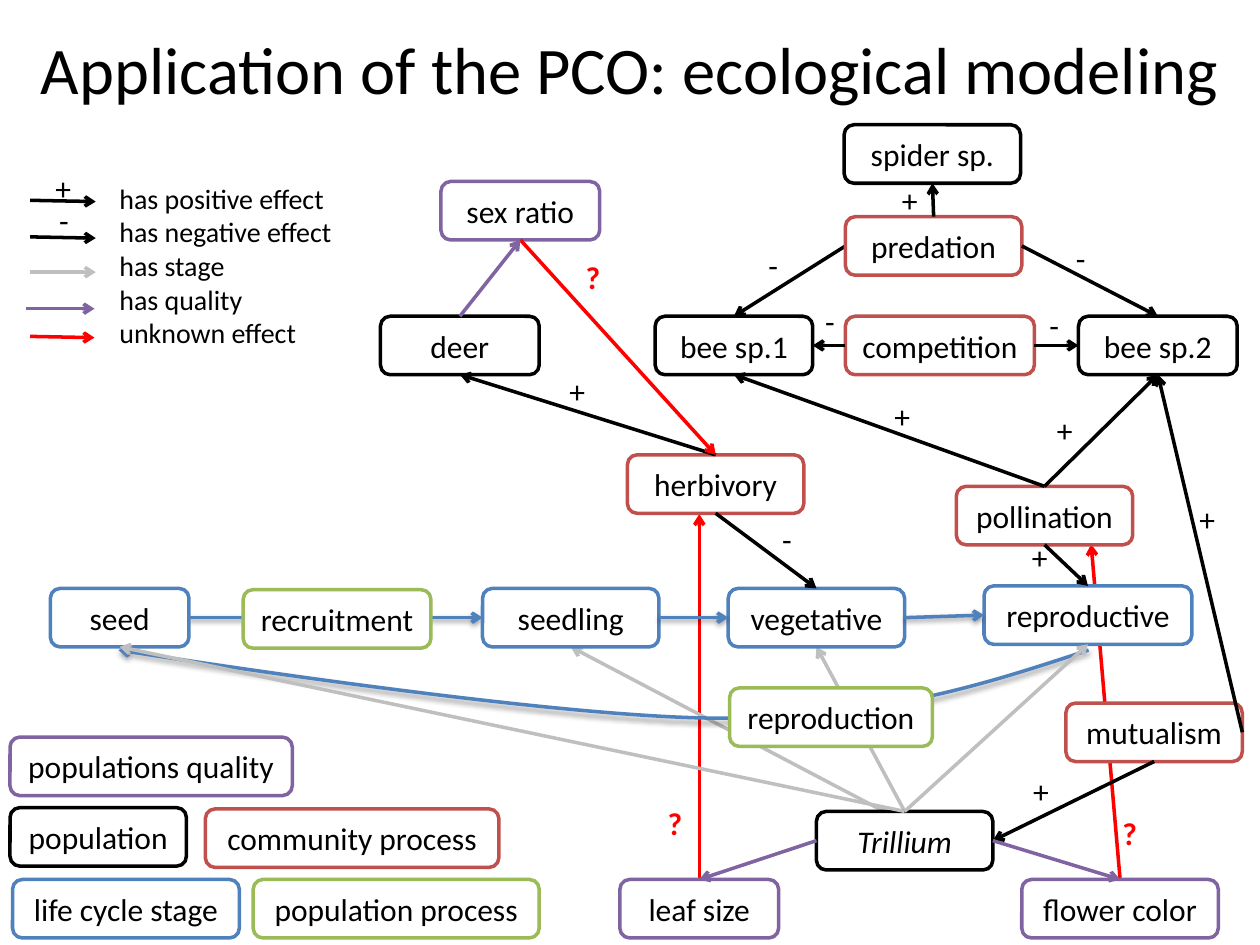
from lxml import etree
from pptx import Presentation
from pptx.dml.color import RGBColor
from pptx.enum.shapes import MSO_CONNECTOR as LINK, MSO_SHAPE as SHAPE
from pptx.enum.text import MSO_ANCHOR as ANCHOR, PP_ALIGN as ALIGN
from pptx.oxml.ns import qn
from pptx.util import Inches, Pt

BLACK = RGBColor(0x00, 0x00, 0x00)
WHITE = RGBColor(0xFF, 0xFF, 0xFF)
RED = RGBColor(0xFF, 0x00, 0x00)
GREY = RGBColor(0xBF, 0xBF, 0xBF)
BLUE = RGBColor(0x4F, 0x81, 0xBD)
BRICK = RGBColor(0xC0, 0x50, 0x4D)
GREEN = RGBColor(0x9B, 0xBB, 0x59)
PURPLE = RGBColor(0x80, 0x64, 0xA2)
FONT = "Calibri"
TOP, LEFT, BOTTOM, RIGHT = range(4)

deck = Presentation()
deck.slide_width, deck.slide_height = Inches(10), Inches(7.5)
slide = deck.slides.add_slide(deck.slide_layouts[6])
shapes = slide.shapes
CELL = deck.slide_width / 100  # square grid: 100 columns by 75 rows
BOX_ROWS = 4.64


def cells(*counts):
    return [round(count * CELL) for count in counts]


def style_arrow(arrow, color):
    """Two-point line with an open head; blue life cycle arrows cast a shadow."""
    arrow.line.color.rgb = color
    arrow.line.width = Pt(2)
    properties = arrow._element.spPr
    etree.SubElement(properties.find(qn("a:ln")), qn("a:tailEnd"), type="arrow")
    effects = etree.SubElement(properties, qn("a:effectLst"))
    if color == BLUE:
        shadow = etree.SubElement(effects, qn("a:outerShdw"), blurRad=str(Pt(3.1)),
                                  dist=str(Pt(1.6)), dir="5400000", rotWithShape="0")
        black = etree.SubElement(shadow, qn("a:srgbClr"), val="000000")
        etree.SubElement(black, qn("a:alpha"), val="38000")


# Reproduction curve: two cubic pieces, three points each
curve_points = [(78.2, 54.3), (70, 57), (57.2, 57), (44.3, 57), (9.4, 51.6), (9.4, 51.6)]
outline = shapes.build_freeform(*cells(86.4, 51.6))
outline.add_line_segments([cells(*point) for point in curve_points], close=False)
cycle = outline.convert_to_shape()
cycle.fill.background()
style_arrow(cycle, BLUE)
steps = list(cycle._element.iter(qn("a:lnTo")))
for start in (0, 3):
    bend = etree.Element(qn("a:cubicBezTo"))
    steps[start].addprevious(bend)
    for step in steps[start:start + 3]:
        bend.append(step[0])
        step.getparent().remove(step)

# Title
title = shapes.add_textbox(*cells(0, 0.6, 100, 9.6)).text_frame
title.word_wrap = True
title.vertical_anchor = ANCHOR.MIDDLE
heading = title.paragraphs[0]
heading.text = "Application of the PCO: ecological modeling"
heading.alignment = ALIGN.CENTER
heading.font.size, heading.font.name = Pt(38), FONT
heading.font.color.rgb = BLACK

# Boxes by kind: label, column, row, width
kinds = {
    BLACK: [("deer", 30.2, 25.1, 12.6), ("bee sp.1", 52, 25.1, 12.5),
            ("bee sp.2", 85.6, 25.1, 12.6), ("Trillium", 64.8, 64.4, 14),
            ("spider sp.", 67, 9.9, 14), ("population", 0.8, 64.1, 14)],
    BLUE: [("seed", 4, 46.7, 11), ("seedling", 38.3, 46.7, 14),
           ("vegetative", 57.8, 46.7, 14), ("reproductive", 78.1, 46.5, 16.5),
           ("life cycle stage", 1, 69.8, 18)],
    BRICK: [("predation", 67.1, 17.2, 14), ("pollination", 75.9, 38.6, 14),
            ("herbivory", 49.8, 36.1, 14), ("competition", 67.1, 25.1, 15),
            ("mutualism", 84.6, 55.8, 14), ("community process", 16.3, 64.2, 23.3)],
    GREEN: [("reproduction", 57.9, 54.6, 16.1), ("recruitment", 19.3, 46.8, 14.9),
            ("population process", 20.1, 69.8, 22.7)],
    PURPLE: [("sex ratio", 35, 14.4, 12.6), ("leaf size", 49.2, 69.8, 12.6),
             ("flower color", 81.1, 69.8, 15.6), ("populations quality", 0.8, 58.5, 22.4)],
}
boxes = {}
for color, members in kinds.items():
    for label, column, row, width in members:
        box = shapes.add_shape(SHAPE.ROUNDED_RECTANGLE, *cells(column, row, width, BOX_ROWS))
        box.shadow.inherit = False
        box.fill.solid()
        box.fill.fore_color.rgb = WHITE
        box.line.color.rgb = color
        box.line.width = Pt(2)
        box.text_frame.vertical_anchor = ANCHOR.MIDDLE
        box.text_frame.word_wrap = True
        name = box.text_frame.paragraphs[0]
        name.text = label
        name.alignment = ALIGN.CENTER
        name.font.size, name.font.name = Pt(18), FONT
        name.font.italic = True if label == "Trillium" else None
        name.font.color.rgb = BLACK
        boxes[label] = box

# Arrows: each end is a box side or a grid point
behind = [
    (BLACK, ("predation", LEFT), ("bee sp.1", TOP)),
    (BLUE, ("seed", RIGHT), ("seedling", LEFT)),
    (GREY, ("Trillium", TOP), ("vegetative", BOTTOM)),
    (GREY, (71.3, 65), ("seedling", BOTTOM)),
    (RED, ("flower color", TOP), (86.6, 43.2)),
    (RED, ("leaf size", TOP), (55.5, 40.8)),
]
in_front = [
    (BLACK, ("predation", RIGHT), ("bee sp.2", TOP)),
    (BLACK, ("predation", TOP), ("spider sp.", BOTTOM)),
    (BLACK, ("competition", LEFT), ("bee sp.1", RIGHT)),
    (BLACK, ("competition", RIGHT), ("bee sp.2", LEFT)),
    (BLACK, ("pollination", TOP), ("bee sp.1", BOTTOM)),
    (BLACK, ("pollination", TOP), ("bee sp.2", BOTTOM)),
    (BLACK, ("herbivory", TOP), ("deer", BOTTOM)),
    (BLACK, ("mutualism", RIGHT), ("bee sp.2", BOTTOM)),
    (BLACK, ("mutualism", BOTTOM), ("Trillium", RIGHT)),
    (BLACK, ("pollination", BOTTOM), ("reproductive", TOP)),
    (BLACK, ("herbivory", BOTTOM), ("vegetative", TOP)),
    (BLUE, ("seedling", RIGHT), ("vegetative", LEFT)),
    (BLUE, ("vegetative", RIGHT), ("reproductive", LEFT)),
    (GREY, ("Trillium", TOP), ("reproductive", BOTTOM)),
    (GREY, ("Trillium", TOP), ("seed", BOTTOM)),
    (RED, ("sex ratio", BOTTOM), ("herbivory", TOP)),
    (PURPLE, ("deer", TOP), ("sex ratio", BOTTOM)),
    (PURPLE, ("Trillium", RIGHT), ("flower color", TOP)),
    (PURPLE, ("Trillium", LEFT), ("leaf size", TOP)),
    # Legend samples
    (BLACK, (2.4, 15.9), (7.6, 16)),
    (BLACK, (2.4, 18.8), (7.6, 18.9)),
    (GREY, (2.4, 21.6), (7.6, 21.6)),
    (PURPLE, (2.1, 24.5), (7.5, 24.5)),
    (RED, (2.4, 26.7), (7.5, 26.8)),
]
for color, start, end in behind + in_front:
    free_ends = [(0, 0) if spot[0] in boxes else spot for spot in (start, end)]
    arrow = shapes.add_connector(LINK.STRAIGHT, *cells(*free_ends[0], *free_ends[1]))
    for spot, connect in ((start, arrow.begin_connect), (end, arrow.end_connect)):
        if spot[0] in boxes:
            connect(boxes[spot[0]], spot[1])
    style_arrow(arrow, color)
    if (color, start, end) in behind:
        shapes._spTree.insert(2, arrow._element)

# Effect signs
signs = {
    "+": [(70.6, 13.9), (3.4, 12.9), (44.2, 29), (80.9, 42.2), (94.2, 39.2),
          (82.9, 32.1), (70, 31), (81, 60.8)],
    "-": [(3.7, 15.5), (61.1, 40.8), (84.4, 18.5), (60, 19), (82.3, 23.8), (64.5, 23.5)],
    "?": [(45.5, 20), (52, 63.3), (88.1, 64.1)],
}
for sign, spots in signs.items():
    for spot in spots:
        mark_frame = shapes.add_textbox(*cells(*spot, 4.2, 4)).text_frame
        mark_frame.word_wrap = True
        mark = mark_frame.paragraphs[0]
        mark.text = sign
        mark.font.size, mark.font.name = Pt(18), FONT
        mark.font.bold = True if sign == "?" else None
        mark.font.color.rgb = RED if sign == "?" else BLACK

# Legend wording
legend = shapes.add_textbox(*cells(8.5, 13.9, 19.6, 14.5)).text_frame
legend.word_wrap = True
legend.text = "\n".join(["has positive effect", "has negative effect", "has stage",
                         "has quality", "unknown effect"])
for entry in legend.paragraphs:
    entry.font.size, entry.font.name = Pt(16), FONT
    entry.font.color.rgb = BLACK

deck.save("out.pptx")
